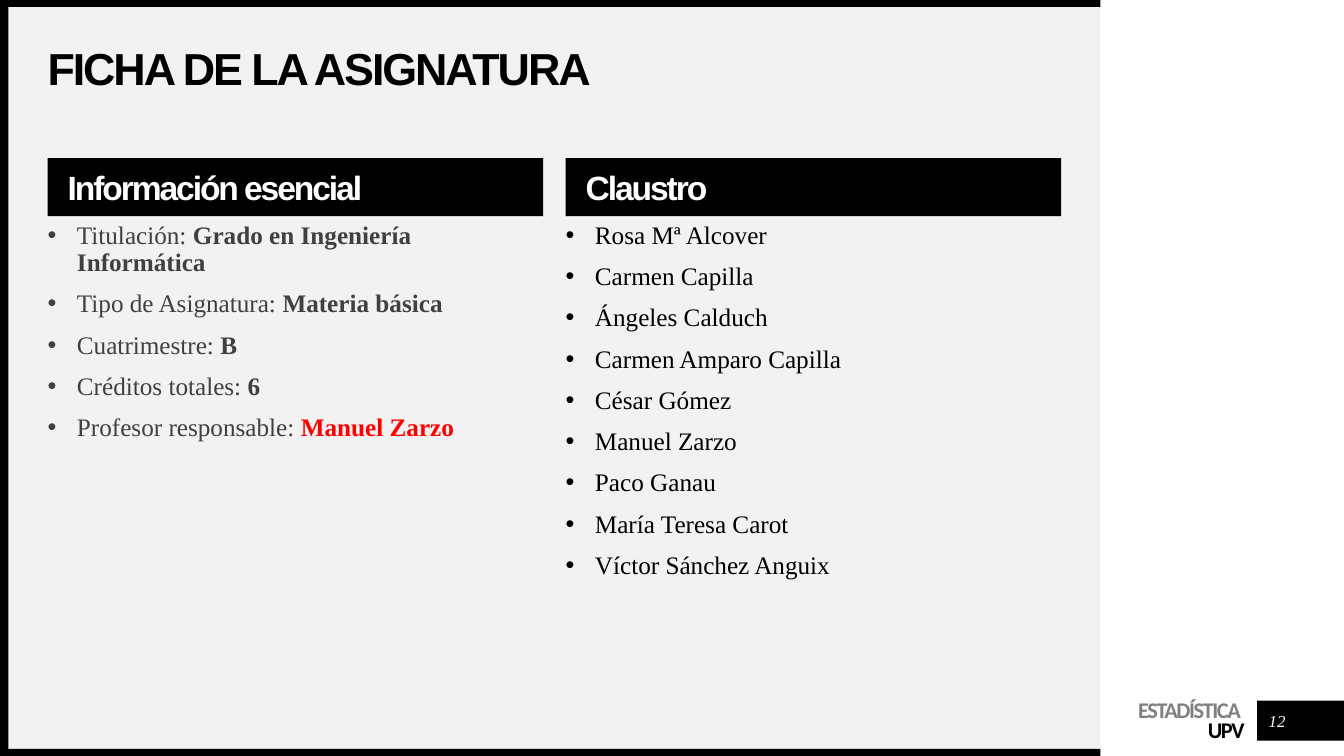
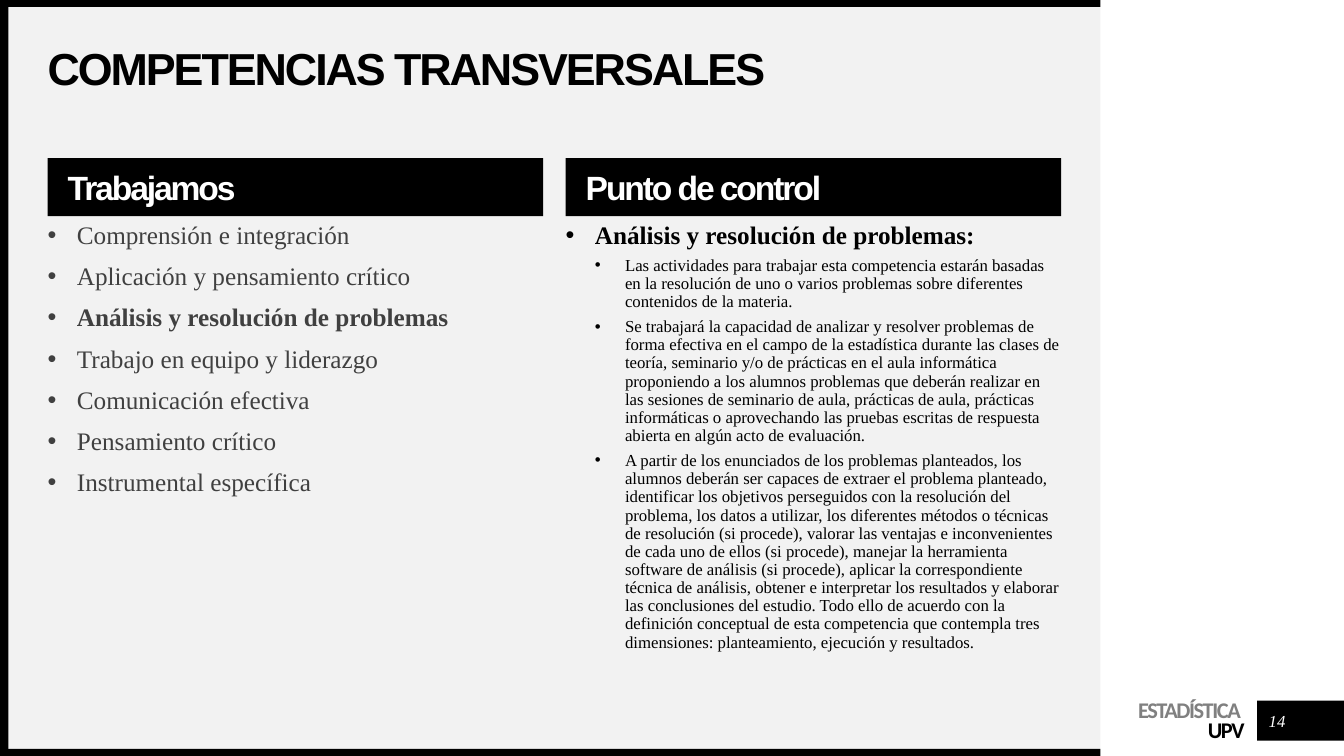
from lxml.etree import SubElement
from pptx import Presentation
from pptx.dml.color import RGBColor
from pptx.enum.shapes import MSO_SHAPE
from pptx.enum.text import MSO_ANCHOR, MSO_AUTO_SIZE, PP_ALIGN
from pptx.oxml.ns import qn
from pptx.util import Pt

COLORS = {
    "black": "000000",
    "white": "FFFFFF",
    "panel": "F2F2F2",
    "gray": "808080",
    "text": "404040",
    "red": "FF0000",
}

# Character formats: colour and spacing (points) are handled apart from font attributes
TITLE = {"name": "Arial", "size": Pt(32), "bold": True, "color": "black", "spacing": -1.5}
HEADING = {**TITLE, "size": Pt(24), "color": "white"}
BRAND = {"name": "Calibri", "size": Pt(16), "bold": True, "color": "gray", "spacing": -1}
BODY = {"name": "Times New Roman", "size": Pt(18), "bold": False, "color": "text"}
DETAIL = {"size": Pt(12)}
NUMBER = {**BODY, "size": Pt(12), "italic": True, "color": "white"}
STRONG = {"bold": True}

# Paragraph formats
TIGHT = {"line_spacing": 0.9, "alignment": PP_ALIGN.LEFT}
BRAND_LINE = {"line_spacing": Pt(14), "alignment": PP_ALIGN.RIGHT}
CENTERED = {"alignment": PP_ALIGN.CENTER}

# Bullet levels: left margin, hanging indent, space before
LEVELS = [(21, 21, 10), (42.5, 21.5, 5)]

# Layout grid
COLUMN_LEFTS = (34, 404)
COLUMN_WIDTH = 354
HEADING_TOP, HEADING_HEIGHT = 113, 41.5
BODY_TOP, BODY_HEIGHT = 159, 328
PANEL_RIGHT, EDGE = 786, 5


def color(name):
    return RGBColor.from_string(COLORS[name])


def set_values(target, values):
    for name, value in values.items():
        setattr(target, name, value)


def add_rectangle(slide, box, fill):
    shape = slide.shapes.add_shape(MSO_SHAPE.RECTANGLE, *map(Pt, box))
    shape.shadow.inherit = False
    shape.fill.solid()
    shape.fill.fore_color.rgb = color(fill)
    shape.line.fill.background()
    return shape


def set_frame(shape, anchor, left=0, top=0):
    frame = shape.text_frame
    set_values(frame, {
        "word_wrap": True,
        "auto_size": MSO_AUTO_SIZE.NONE,
        "vertical_anchor": anchor,
        "margin_left": Pt(left),
        "margin_top": Pt(top),
        "margin_right": 0,
        "margin_bottom": 0,
    })
    return frame


def add_text_box(slide, box, anchor=MSO_ANCHOR.TOP, top=0):
    return set_frame(slide.shapes.add_textbox(*map(Pt, box)), anchor, top=top)


def next_paragraph(frame, index):
    return frame.add_paragraph() if index else frame.paragraphs[0]


def add_run(paragraph, text, style):
    run = paragraph.add_run()
    run.text = text
    values = dict(style)
    run.font.color.rgb = color(values.pop("color"))
    spacing = values.pop("spacing", 0)
    set_values(run.font, values)
    if spacing:
        run._r.get_or_add_rPr().set("spc", str(int(spacing * 100)))


def write_line(frame, text, style, layout, index=0):
    paragraph = next_paragraph(frame, index)
    set_values(paragraph, layout)
    add_run(paragraph, text, style)


def add_bullet(paragraph, level):
    margin, hanging, _ = LEVELS[level]
    properties = paragraph._p.get_or_add_pPr()
    properties.set("marL", str(Pt(margin)))
    properties.set("indent", str(-Pt(hanging)))
    SubElement(properties, qn("a:buFont"), typeface="Arial")
    SubElement(properties, qn("a:buChar"), char="•")


def add_bullet_list(slide, left, items, base):
    """Each item is a level and its runs, given as (text, changes to the base style)."""
    frame = add_text_box(slide, (left, BODY_TOP, COLUMN_WIDTH, BODY_HEIGHT))
    for index, (level, runs) in enumerate(items):
        paragraph = next_paragraph(frame, index)
        add_bullet(paragraph, level)
        space = LEVELS[level][2] if index else 0
        set_values(paragraph, {**TIGHT, "level": level, "space_before": Pt(space)})
        for text, changes in runs:
            add_run(paragraph, text, {**base, **changes})


def add_column(slide, left, heading, items, text_color):
    band = add_rectangle(slide, (left, HEADING_TOP, COLUMN_WIDTH, HEADING_HEIGHT), "black")
    frame = set_frame(band, MSO_ANCHOR.MIDDLE, left=14.4, top=3)
    write_line(frame, heading, HEADING, TIGHT)
    add_bullet_list(slide, left, items, {**BODY, "color": text_color})


def add_background(slide):
    # Panel, number tab and black edges
    for box, fill in (
        ((EDGE, EDGE, PANEL_RIGHT - EDGE, 540 - 2 * EDGE), "panel"),
        ((898, 500.5, 62, 28.5), "black"),
        ((0, 540 - EDGE, PANEL_RIGHT, EDGE), "black"),
        ((0, 0, PANEL_RIGHT, EDGE), "black"),
        ((0, 0, 6, 540), "black"),
    ):
        add_rectangle(slide, box, fill)
    # Course name
    frame = add_text_box(slide, (758, 499.5, 131, 32), top=3)
    write_line(frame, "ESTADÍSTICA ", BRAND, BRAND_LINE)
    write_line(frame, "UPV", {**BRAND, "color": "black"}, BRAND_LINE, 1)


def place_title(slide, text):
    title = slide.shapes.title
    set_values(title, {"left": Pt(34), "top": Pt(34), "width": Pt(724), "height": Pt(34)})
    write_line(set_frame(title, MSO_ANCHOR.MIDDLE), text, TITLE, TIGHT)
    # Bring the title in front of the panel
    title.element.getparent().append(title.element)


def add_slide(presentation, title, number, columns):
    slide = presentation.slides.add_slide(presentation.slide_layouts[5])
    add_background(slide)
    place_title(slide, title)
    for left, text_color, (heading, items) in zip(COLUMN_LEFTS, ("text", "black"), columns):
        add_column(slide, left, heading, items, text_color)
    frame = add_text_box(slide, (901.5, 504, 21.5, 21.5), MSO_ANCHOR.MIDDLE)
    write_line(frame, str(number), NUMBER, CENTERED)


def plain_items(*texts):
    return [(0, [(text, {})]) for text in texts]


# Content
COURSE_FACTS = [
    (0, [(f"{label}: ", {}), (value, {**STRONG, **changes})])
    for label, value, changes in (
        ("Titulación", "Grado en Ingeniería Informática", {}),
        ("Tipo de Asignatura", "Materia básica", {}),
        ("Cuatrimestre", "B", {}),
        ("Créditos totales", "6", {}),
        ("Profesor responsable", "Manuel Zarzo", {"color": "red"}),
    )
]

TEACHERS = plain_items(
    "Rosa Mª Alcover",
    "Carmen Capilla",
    "Ángeles Calduch",
    "Carmen Amparo Capilla",
    "César Gómez",
    "Manuel Zarzo",
    "Paco Ganau",
    "María Teresa Carot",
    "Víctor Sánchez Anguix",
)

SKILLS = [
    *plain_items("Comprensión e integración", "Aplicación y pensamiento crítico"),
    (0, [("Análisis y resolución de problemas", STRONG)]),
    *plain_items(
        "Trabajo en equipo y liderazgo",
        "Comunicación efectiva",
        "Pensamiento crítico",
        "Instrumental específica",
    ),
]

CONTROL_DETAILS = (
    "Las actividades para trabajar esta competencia estarán basadas en la resolución de uno "
    "o varios problemas sobre diferentes contenidos de la materia.",
    "Se trabajará la capacidad de analizar y resolver problemas de forma efectiva en el campo "
    "de la estadística durante las clases de teoría, seminario y/o de prácticas en el aula "
    "informática proponiendo a los alumnos problemas que deberán realizar en las sesiones de "
    "seminario de aula, prácticas de aula, prácticas informáticas o aprovechando las pruebas "
    "escritas de respuesta abierta en algún acto de evaluación.",
    "A partir de los enunciados de los problemas planteados, los alumnos deberán ser capaces "
    "de extraer el problema planteado, identificar los objetivos perseguidos con la resolución "
    "del problema, los datos a utilizar, los diferentes métodos o técnicas de resolución (si "
    "procede), valorar las ventajas e inconvenientes de cada uno de ellos (si procede), manejar "
    "la herramienta software de análisis (si procede), aplicar la correspondiente técnica de "
    "análisis, obtener e interpretar los resultados y elaborar las conclusiones del estudio. "
    "Todo ello de acuerdo con la definición conceptual de esta competencia que contempla tres "
    "dimensiones: planteamiento, ejecución y resultados.",
)

CONTROL_POINT = [
    (0, [("Análisis y resolución de problemas:", STRONG)]),
    *((1, [(text, DETAIL)]) for text in CONTROL_DETAILS),
]


def main():
    presentation = Presentation()
    set_values(presentation, {"slide_width": Pt(960), "slide_height": Pt(540)})
    add_slide(presentation, "FICHA DE LA ASIGNATURA", 12,
              [("Información esencial", COURSE_FACTS), ("Claustro", TEACHERS)])
    add_slide(presentation, "COMPETENCIAS TRANSVERSALES", 14,
              [("Trabajamos", SKILLS), ("Punto de control", CONTROL_POINT)])
    presentation.save("out.pptx")


if __name__ == "__main__":
    main()
